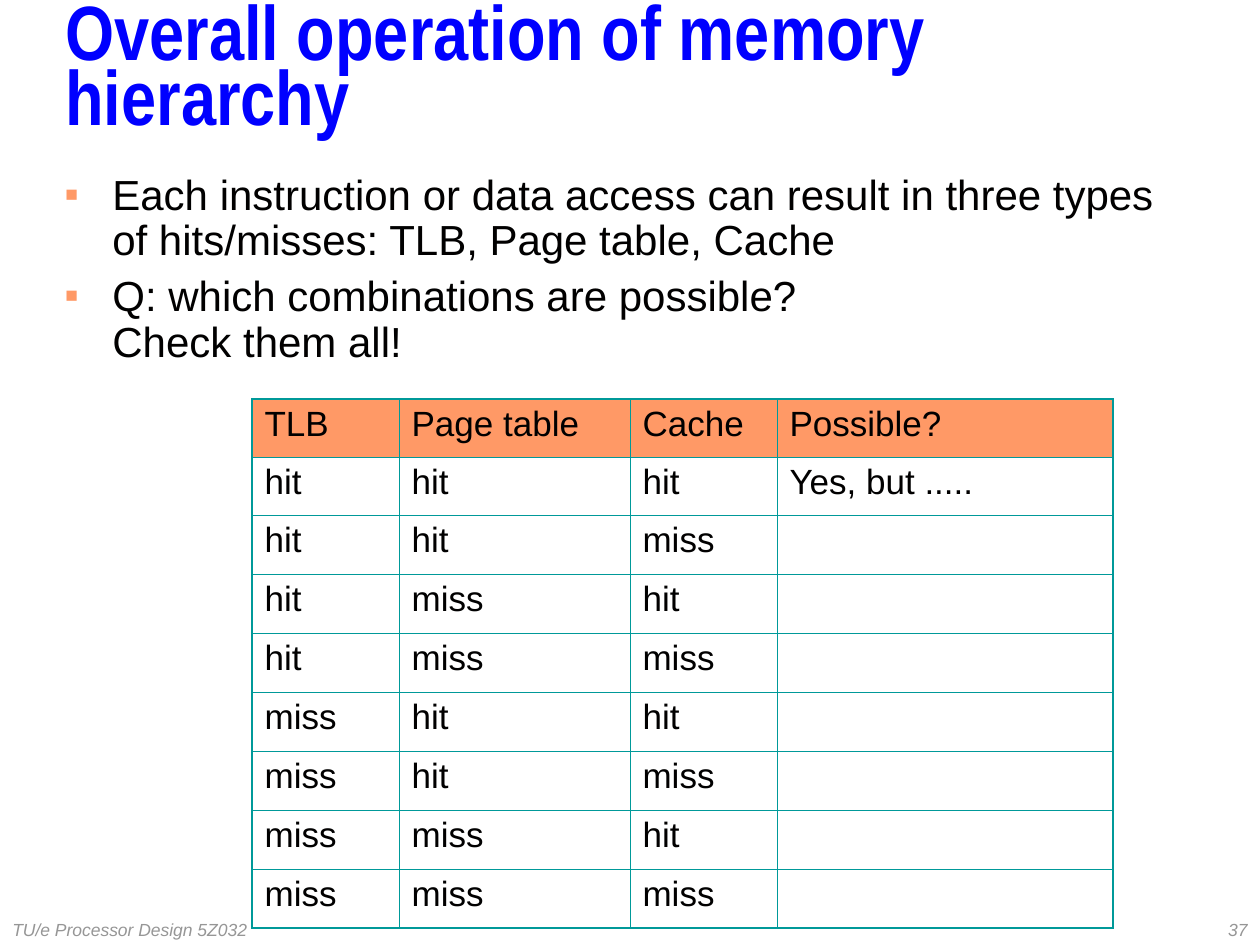
from lxml import etree
from pptx import Presentation
from pptx.dml.color import RGBColor
from pptx.enum.text import MSO_ANCHOR, PP_ALIGN
from pptx.oxml.ns import qn
from pptx.util import Pt

EMU_PER_PX = 914400 / 126
LEFT, RIGHT = PP_ALIGN.LEFT, PP_ALIGN.RIGHT
TOP, MIDDLE = MSO_ANCHOR.TOP, MSO_ANCHOR.MIDDLE
COLORS = {
    "title": "0000FF",
    "text": "010000",
    "accent": "FF9966",
    "border": "009999",
    "footer": "969696",
}
THIN, THICK = 0.45, 1.08


def px(length):
    return round(length * EMU_PER_PX)


def rgb(name):
    return RGBColor.from_string(COLORS[name])


def add_color(parent, name):
    etree.SubElement(parent, qn("a:srgbClr"), val=COLORS[name])


class SlideBuilder:
    def __init__(self, slide, font="Arial"):
        self.slide = slide
        self.font = font

    def style(self, paragraph, size, color, font=None, bold=False, italic=False):
        face = paragraph.font
        face.name = font or self.font
        face.size = Pt(size)
        face.bold = bold
        face.italic = italic
        face.color.rgb = rgb(color)

    def bullet(self, paragraph, indent):
        props = paragraph._p.get_or_add_pPr()
        props.set("marL", str(px(indent)))
        props.set("indent", str(-px(indent)))
        add_color(etree.SubElement(props, qn("a:buClr")), "accent")
        etree.SubElement(props, qn("a:buSzPct"), val="50000")
        etree.SubElement(props, qn("a:buFont"), typeface=self.font)
        etree.SubElement(props, qn("a:buChar"), char="■")

    def text(self, box, lines, size, color, anchor=MIDDLE, align=LEFT,
             spacing=1.0, gap=0, bullet_indent=0, **face):
        frame = self.slide.shapes.add_textbox(*map(px, box)).text_frame
        frame.word_wrap = True
        frame.vertical_anchor = anchor
        for i, line in enumerate(lines):
            paragraph = frame.add_paragraph() if i else frame.paragraphs[0]
            paragraph.text = line
            paragraph.alignment = align
            paragraph.line_spacing = spacing
            if i:
                paragraph.space_before = Pt(gap)
            if bullet_indent:
                self.bullet(paragraph, bullet_indent)
            self.style(paragraph, size, color, **face)

    def borders(self, cell, widths):
        props = cell._tc.get_or_add_tcPr()
        for i, (side, width) in enumerate(widths.items()):
            line = etree.Element(qn(f"a:ln{side}"), w=str(Pt(width)))
            add_color(etree.SubElement(line, qn("a:solidFill")), "border")
            props.insert(i, line)

    def table(self, left, top, widths, heights, rows, size):
        table = self.slide.shapes.add_table(
            len(rows), len(widths), px(left), px(top),
            px(sum(widths)), px(sum(heights))).table
        table.first_row = table.horz_banding = False
        for column, width in zip(table.columns, widths):
            column.width = px(width)
        last_row, last_col = len(rows) - 1, len(widths) - 1
        for r, (row, height) in enumerate(zip(rows, heights)):
            table.rows[r].height = px(height)
            for c, value in enumerate(row):
                cell = table.cell(r, c)
                cell.text = value
                self.style(cell.text_frame.paragraphs[0], size, "text")
                if r == 0:
                    cell.fill.solid()
                    cell.fill.fore_color.rgb = rgb("accent")
                else:
                    cell.fill.background()
                # Thick lines only on the outer frame
                self.borders(cell, {
                    "L": THICK if c == 0 else THIN,
                    "R": THICK if c == last_col else THIN,
                    "T": THICK if r == 0 else THIN,
                    "B": THICK if r == last_row else THIN,
                })


def main():
    deck = Presentation()
    deck.slide_width, deck.slide_height = px(1260), px(945)
    builder = SlideBuilder(deck.slides.add_slide(deck.slide_layouts[6]))

    # Title
    builder.text((53, 21, 1155, 105), ["Overall operation of memory hierarchy"],
                 44, "title", spacing=0.7, font="Arial Narrow", bold=True)

    # Question
    builder.text((53, 168, 1155, 220), [
        "Each instruction or data access can result in three types "
        "of hits/misses: TLB, Page table, Cache",
        "Q: which combinations are possible?\vCheck them all!",
    ], 24, "text", anchor=TOP, spacing=0.9, gap=6, bullet_indent=47)

    # Hit and miss combinations
    outcomes = ("hit", "miss")
    combinations = [[tlb, page, cache, ""] for tlb in outcomes
                    for page in outcomes for cache in outcomes]
    combinations[0][-1] = "Yes, but ....."
    header = ["TLB", "Page table", "Cache", "Possible?"]
    builder.table(252, 399, [147, 231, 147, 336], [58] * 2 + [59] * 7,
                  [header] + combinations, 20)

    # Footer
    builder.text((998, 914, 262, 31), ["37"], 10, "footer",
                 align=RIGHT, italic=True)
    builder.text((0, 914, 262, 31), ["TU/e Processor Design 5Z032"], 10, "footer",
                 italic=True)

    deck.save("out.pptx")


if __name__ == "__main__":
    main()
